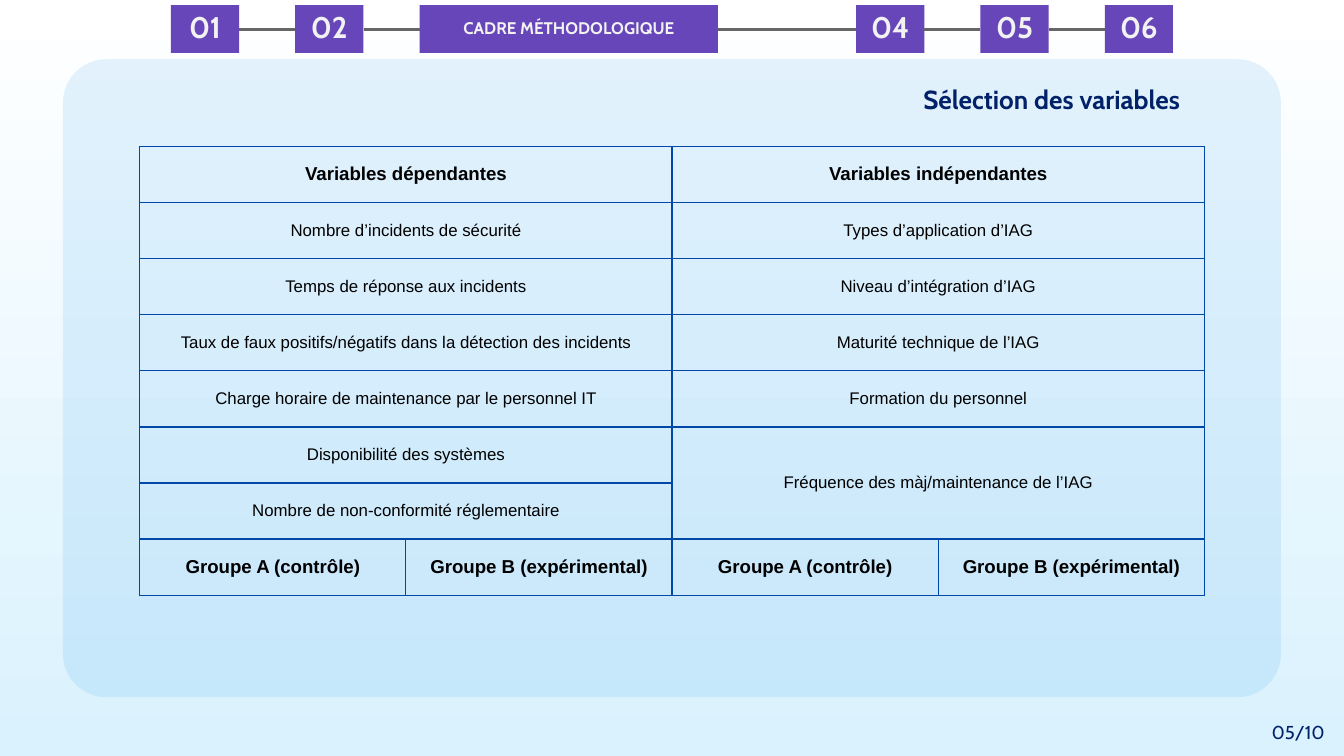
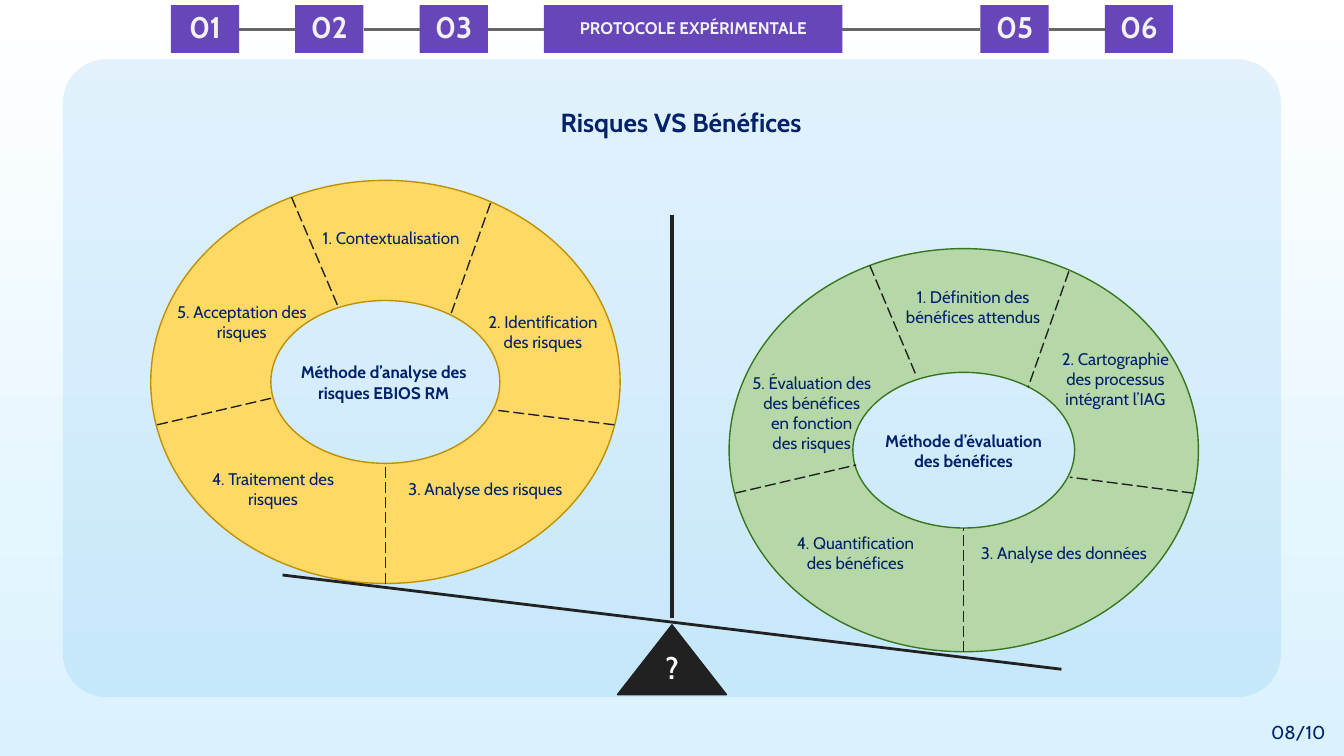
from pptx import Presentation
from pptx.dml.color import RGBColor
from pptx.enum.dml import MSO_LINE as Dash
from pptx.enum.shapes import MSO_CONNECTOR as Link, MSO_SHAPE as Kind
from pptx.enum.text import MSO_ANCHOR as Anchor, PP_ALIGN as Align
from pptx.oxml.ns import qn
from pptx.util import Cm, Pt
from lxml.etree import SubElement

WHITE = RGBColor(0xFF, 0xFF, 0xFF)
BLACK = RGBColor(0, 0, 0)
SKY = RGBColor(0xDA, 0xF2, 0xFE)
AZURE = RGBColor(0x03, 0x88, 0xE5)
NAVY = RGBColor(0x01, 0x21, 0x69)
PURPLE = RGBColor(0x67, 0x46, 0xB9)
PALE = RGBColor(0xF2, 0xF2, 0xF2)
GRAY = RGBColor(0x66, 0x66, 0x66)
INK = RGBColor(0x21, 0x21, 0x21)
RULE = RGBColor(0x00, 0x48, 0xA7)
YELLOW = RGBColor(0xFF, 0xD9, 0x66)
OCHRE = RGBColor(0xBF, 0x90, 0x00)
MINT = RGBColor(0xB6, 0xD7, 0xA8)
GREEN = RGBColor(0x38, 0x76, 0x1D)
FONT = "Cabin"
INSET = Cm(0.25)


def write(host, text, size, color=NAVY, bold=False, font=FONT, align=Align.CENTER):
    """Fill a shape or a table cell with text, centred in height."""
    frame = host.text_frame
    frame.text = text
    # A cell holds its own margins and anchor; a shape leaves them to its frame.
    box = host if hasattr(host, "is_spanned") else frame
    box.margin_left = box.margin_right = INSET
    box.margin_top = box.margin_bottom = INSET
    box.vertical_anchor = Anchor.MIDDLE
    frame.word_wrap = True
    for para in frame.paragraphs:
        para.alignment = align
        for run in para.runs:
            run.font.name = font
            run.font.size = Pt(size)
            run.font.bold = bold
            run.font.color.rgb = color


def draw(slide, start, end, color, width):
    line = slide.shapes.add_connector(Link.STRAIGHT, *map(Cm, (*start, *end)))
    line.line.color.rgb = color
    line.line.width = Pt(width)
    SubElement(line._element.spPr, qn("a:effectLst"))
    return line


deck = Presentation()
deck.slide_width, deck.slide_height = Cm(25.4), Cm(14.29)

# Frame of both slides: background, panel, chapter bar, title, page number
STEP, FIRST, LAST, COUNT = 2.35, 3.23, 20.88, 6
pages = [
    (2, "CADRE MÉTHODOLOGIQUE", "05/10",
     "Sélection des variables", (17.2, 1.47, 6.02, 0.79), Align.LEFT),
    (3, "PROTOCOLE EXPÉRIMENTALE", "08/10",
     "Risques VS Bénéfices", (10.13, 1.91, 5.49, 0.79), Align.CENTER),
]
slides = []
for active, chapter, number, title, place, align in pages:
    slide = deck.slides.add_slide(deck.slide_layouts[6])
    slides.append(slide)
    back = slide.background.fill
    back.gradient()
    back.gradient_angle = 270
    for stop, color in zip(back.gradient_stops, (WHITE, SKY)):
        stop.color.rgb = color

    panel = slide.shapes.add_shape(
        Kind.ROUNDED_RECTANGLE, Cm(1.19), Cm(1.12), Cm(23.02), Cm(12.06))
    panel.adjustments[0] = 0.068
    panel.shadow.inherit = False
    panel.line.fill.background()
    panel.fill.solid()
    panel.fill.fore_color.rgb = AZURE
    tint = panel._element.spPr.find(".//" + qn("a:srgbClr"))
    SubElement(tint, qn("a:alpha"), val="10000")

    last = None
    for i in range(COUNT):
        left = FIRST + STEP * i if i <= active else LAST - STEP * (COUNT - 1 - i)
        wide = 5.64 if i == active else 1.29
        tab = slide.shapes.add_shape(Kind.RECTANGLE, Cm(left), Cm(0.1), Cm(wide), Cm(0.9))
        tab.shadow.inherit = False
        tab.fill.solid()
        tab.fill.fore_color.rgb = PURPLE
        tab.line.fill.background()
        if i == active:
            write(tab, chapter, 9, PALE, True)
        else:
            write(tab, f"{i + 1:02}", 16, PALE, True)
        tab.text_frame.paragraphs[0].line_spacing = 0.9
        if last:
            link = draw(slide, (0, 0), (1, 1), GRAY, 1.5)
            link.begin_connect(last, 3)
            link.end_connect(tab, 1)
        last = tab

    write(slide.shapes.add_textbox(*map(Cm, place)), title, 14, bold=True, align=align)
    page = slide.shapes.add_textbox(Cm(23.67), Cm(13.39), Cm(1.73), Cm(0.89))
    write(page, number, 10)

first, second = slides

# Variables table: each heading spans two columns, the groups take one each
rows = [
    ("Variables dépendantes", "Variables indépendantes"),
    ("Nombre d’incidents de sécurité", "Types d’application d’IAG"),
    ("Temps de réponse aux incidents", "Niveau d’intégration d’IAG"),
    ("Taux de faux positifs/négatifs dans la détection des incidents",
     "Maturité technique de l’IAG"),
    ("Charge horaire de maintenance par le personnel IT", "Formation du personnel"),
    ("Disponibilité des systèmes", "Fréquence des màj/maintenance de l’IAG"),
    ("Nombre de non-conformité réglementaire",),
    ("Groupe A (contrôle)", "Groupe B (expérimental)") * 2,
]
END = len(rows) - 1
grid = first.shapes.add_table(
    len(rows), 4, Cm(2.64), Cm(2.77), Cm(20.12), Cm(8.48)).table
grid.first_row = grid.horz_banding = False
for col in grid.columns:
    col.width = Cm(5.03)
for row in grid.rows:
    row.height = Cm(1.06)
for cell in grid.iter_cells():
    props = cell._tc.get_or_add_tcPr()
    for side in ("a:lnL", "a:lnR", "a:lnT", "a:lnB"):
        edge = SubElement(props, qn(side), w=str(Pt(0.75)))
        SubElement(SubElement(edge, qn("a:solidFill")), qn("a:srgbClr"), val=str(RULE))
    cell.fill.background()
for r, texts in enumerate(rows):
    span = 1 if r == END else 2
    for c, text in enumerate(texts):
        cell = grid.cell(r, c * span)
        if span == 2:
            deep = r + 1 if c >= len(rows[r + 1]) else r
            cell.merge(grid.cell(deep, c * span + 1))
        head = r in (0, END)
        write(cell, text, 10 if head else 9, BLACK, head, "Arial")

# Scale: post, two wheels of five steps, pivot and beam
draw(second, (12.7, 4.06), (12.7, 11.68), INK, 2.25)

rim = [(2.66, 0.32), (6.42, 0.43), (8.76, 4.62), (4.43, 7.62), (0.12, 4.62)]
wheels = [
    ((2.85, 3.41), 0.298, YELLOW, OCHRE,
     [(3.55, 2.41), (5.66, 2.56), (6.5, 4.34), (4.43, 5.38), (2.31, 4.11)],
     [("Méthode d’analyse des risques EBIOS RM", 5.33, 6.78, 3.84, 0.89),
      ("1. Contextualisation", 5.51, 4.06, 3.76, 0.89),
      ("2. Identification\ndes risques", 8.38, 5.82, 3.76, 0.89),
      ("3. Analyse des risques", 7.29, 8.79, 3.76, 0.89),
      ("4. Traitement des risques", 3.28, 8.79, 3.76, 0.89),
      ("5. Acceptation des risques", 2.69, 5.64, 3.76, 0.89)]),
    ((13.78, 4.7), 0.307, MINT, GREEN,
     [(3.54, 2.41), (5.65, 2.62), (6.44, 4.32), (4.43, 5.28), (2.4, 4.09)],
     [("Méthode d’évaluation\ndes bénéfices", 16.33, 8.08, 3.76, 0.89),
      ("1. Définition des bénéfices attendus", 16.51, 5.36, 3.76, 0.89),
      ("2. Cartographie\ndes processus\nintégrant l’IAG", 19.2, 6.55, 3.76, 1.22),
      ("3. Analyse des données", 18.11, 10.01, 3.99, 0.89),
      ("4. Quantification\ndes bénéfices", 14.17, 10.01, 3.99, 0.89),
      ("5. Évaluation des\ndes bénéfices\nen fonction\ndes risques",
       13.46, 7.04, 3.76, 1.52)]),
]
for (x, y), ring, fill, edge, hub, labels in wheels:
    wheel = second.shapes.add_shape(Kind.DONUT, Cm(x), Cm(y), Cm(8.87), Cm(7.62))
    wheel.adjustments[0] = ring
    wheel.shadow.inherit = False
    wheel.fill.solid()
    wheel.fill.fore_color.rgb = fill
    wheel.line.color.rgb = edge
    wheel.line.width = Pt(0.75)
    for (ax, ay), (bx, by) in zip(rim, hub):
        spoke = draw(second, (x + ax, y + ay), (x + bx, y + by), INK, 0.75)
        spoke.line.dash_style = Dash.LONG_DASH
    for i, (text, *place) in enumerate(labels):
        write(second.shapes.add_textbox(*map(Cm, place)), text, 9, bold=i == 0)

pivot = second.shapes.add_shape(
    Kind.ISOSCELES_TRIANGLE, Cm(11.67), Cm(11.81), Cm(2.06), Cm(1.32))
pivot.shadow.inherit = False
pivot.fill.solid()
pivot.fill.fore_color.rgb = INK
pivot.line.color.rgb = INK
pivot.line.width = Pt(0.75)
draw(second, (5.34, 10.87), (20.06, 12.65), INK, 1.5)
mark = second.shapes.add_textbox(Cm(12.17), Cm(12.22), Cm(1.07), Cm(0.79))
write(mark, "?", 16, WHITE, True)

deck.save("out.pptx")
